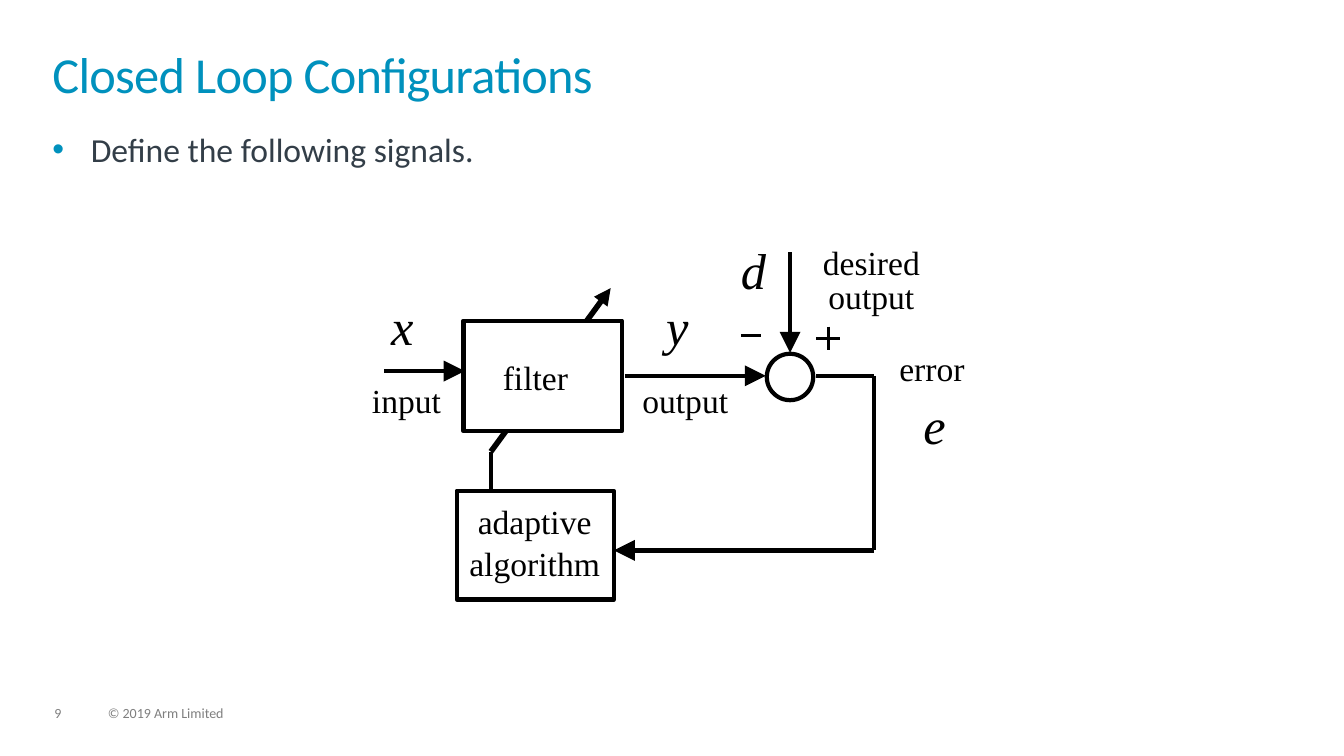
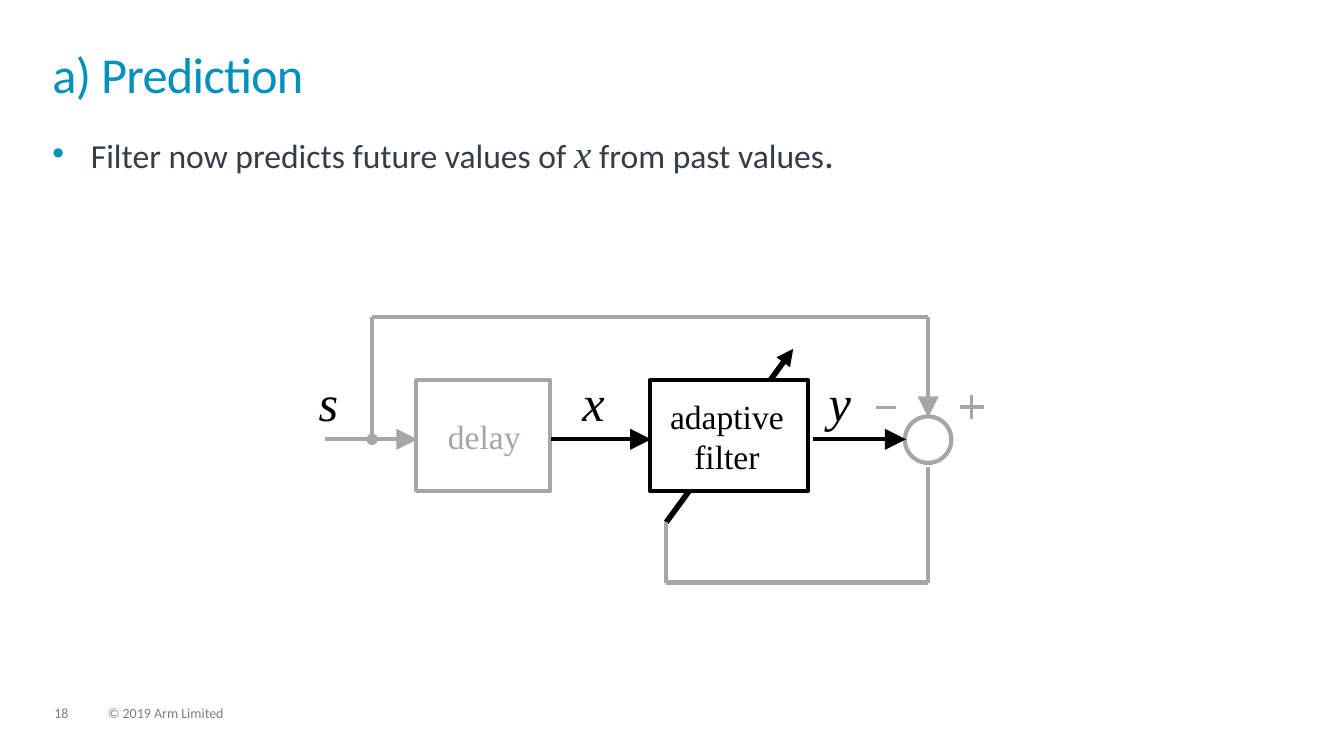
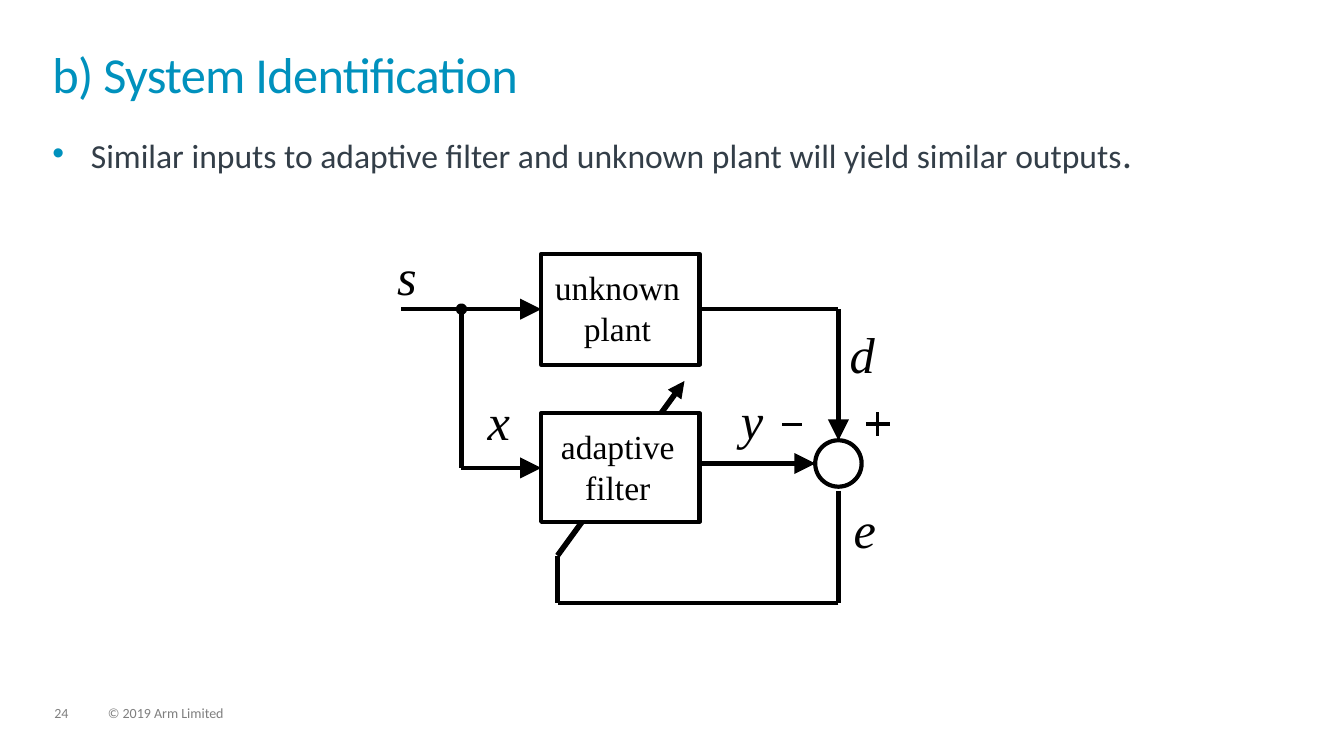
from dataclasses import dataclass
from itertools import pairwise

from lxml import etree
from pptx import Presentation
from pptx.dml.color import RGBColor
from pptx.enum.shapes import MSO_CONNECTOR, MSO_SHAPE
from pptx.enum.text import MSO_ANCHOR, MSO_AUTO_SIZE, PP_ALIGN
from pptx.oxml.ns import qn
from pptx.util import Cm, Pt

STRAIGHT = MSO_CONNECTOR.STRAIGHT
RECTANGLE, ELLIPSE = MSO_SHAPE.RECTANGLE, MSO_SHAPE.OVAL
TOP, NO_RESIZE = MSO_ANCHOR.TOP, MSO_AUTO_SIZE.NONE
LEFT, CENTER = PP_ALIGN.LEFT, PP_ALIGN.CENTER
TITLE_ONLY = 5


@dataclass(frozen=True)
class Theme:
    """Fonts, colours, type sizes and line weights used on every slide."""

    sans: str = "Calibri"
    serif: str = "Times New Roman"
    accent: str = "0091BD"
    ink: str = "333E48"
    footer: str = "7F7F7F"
    black: str = "000000"
    grey: str = "A6A6A6"
    white: str = "FFFFFF"
    title_size: int = 36
    body_size: int = 24
    large_size: int = 28
    symbol_size: int = 36
    footer_size: int = 10
    thin: int = 2
    line: int = 3
    thick: int = 4


THEME = Theme()
FOOTER = "© 2019 Arm Limited"
SYMBOL_HEIGHT, WORD_HEIGHT = 1.55, 1.03
NODE_SIZE, DOT_SIZE, SIGN_ARM = 1.17, 0.18, 0.3


def assign(target, values):
    """Set every attribute named in a dict."""
    for name, value in values.items():
        setattr(target, name, value)


def place(shape, area):
    """Move and size a shape from left, top, width and height in centimetres."""
    assign(shape, dict(zip(("left", "top", "width", "height"), map(Cm, area))))


def set_frame(shape, wrap=True):
    """Remove the margins of a text frame and return the frame."""
    frame = shape.text_frame
    assign(frame, {
        "margin_left": 0, "margin_top": 0, "margin_right": 0, "margin_bottom": 0,
        "word_wrap": wrap, "auto_size": NO_RESIZE, "vertical_anchor": TOP,
    })
    return frame


def add_span(para, text, size, colour, name=THEME.sans, italic=False):
    """Append a formatted run to a paragraph."""
    span = para.add_run()
    span.text = text
    assign(span.font, {"name": name, "size": Pt(size), "italic": italic, "bold": False})
    span.font.color.rgb = RGBColor.from_string(colour)
    return span


def add_text_box(page, area, wrap=True):
    """Add an empty text box and return its frame."""
    return set_frame(page.shapes.add_textbox(*map(Cm, area)), wrap)


def add_title(page, text):
    """Fill and format the title placeholder."""
    title = page.shapes.title
    place(title, (1.32, 1.32, 31.19, 1.83))
    para = set_frame(title).paragraphs[0]
    assign(para, {"alignment": LEFT, "line_spacing": 0.85})
    span = add_span(para, text, THEME.title_size, THEME.accent)
    span.font._element.set("spc", "-50")


def add_bullet(page, spans):
    """Add the bulleted statement made of text and format pairs."""
    para = add_text_box(page, (1.32, 3.25, 31.19, 13.74)).paragraphs[0]
    properties = para._p.get_or_add_pPr()
    properties.set("marL", str(Cm(0.97)))
    properties.set("indent", str(-Cm(0.97)))
    colour = etree.SubElement(properties, qn("a:buClr"))
    etree.SubElement(colour, qn("a:srgbClr"), val=THEME.accent)
    etree.SubElement(properties, qn("a:buFont"), typeface="Arial")
    etree.SubElement(properties, qn("a:buChar"), char="•")
    for text, values in spans:
        add_span(para, text, **{"size": THEME.body_size, "colour": THEME.ink, **values})


def add_footer(page, number):
    """Add the slide number and the copyright line."""
    for text, left, width in ((number, 1.37, 0.86), (FOOTER, 2.72, 12.88)):
        para = add_text_box(page, (left, 17.81, width, 0.38)).paragraphs[0]
        para.line_spacing = 0.9
        add_span(para, text, THEME.footer_size, THEME.footer)


def add_page(deck, number, title, spans):
    """Add a slide with its title, statement and footer."""
    page = deck.slides.add_slide(deck.slide_layouts[TITLE_ONLY])
    add_title(page, title)
    add_bullet(page, spans)
    add_footer(page, str(number))
    return page


def add_outline(page, kind, area, colour=THEME.black, fill=THEME.white):
    """Add a filled preset shape with a line of the given colour."""
    shape = page.shapes.add_shape(kind, *map(Cm, area))
    shape.shadow.inherit = False
    shape.fill.solid()
    shape.fill.fore_color.rgb = RGBColor.from_string(fill)
    shape.line.color.rgb = RGBColor.from_string(colour)
    shape.line.width = Pt(THEME.line)


def add_block(page, area, colour=THEME.black):
    """Add a rectangular processing block."""
    add_outline(page, RECTANGLE, area, colour)


def add_disc(page, x, y, size, colour, fill):
    """Add a circle around a centre point."""
    add_outline(page, ELLIPSE, (x - size / 2, y - size / 2, size, size), colour, fill)


def add_node(page, x, y, colour=THEME.black):
    """Add a summing node."""
    add_disc(page, x, y, NODE_SIZE, colour, THEME.white)


def add_dot(page, x, y, colour=THEME.black):
    """Add a branching dot."""
    add_disc(page, x, y, DOT_SIZE, colour, colour)


def add_wire(page, points, colour=THEME.black, weight=THEME.line, head=None):
    """Join points with straight lines, with an optional arrowhead size at the end."""
    for start, end in pairwise(points):
        wire = page.shapes.add_connector(STRAIGHT, *map(Cm, (*start, *end)))
        wire.line.color.rgb = RGBColor.from_string(colour)
        wire.line.width = Pt(weight)
        etree.SubElement(wire._element.spPr, qn("a:effectLst"))
    if head:
        line = wire.line._get_or_add_ln()
        etree.SubElement(line, qn("a:tailEnd"), type="triangle", w=head, len=head)


def add_arrow(page, *points, colour=THEME.black):
    """Add a signal path that ends in an arrowhead."""
    add_wire(page, points, colour, head="lg")


def add_tuning_arrow(page, start, end):
    """Add the diagonal arrow that marks an adjustable block."""
    add_wire(page, (start, end), weight=THEME.thick, head="med")


def add_minus(page, x, y, colour=THEME.black):
    """Add a minus sign around a centre point."""
    add_wire(page, ((x - 0.25, y), (x + 0.25, y)), colour, THEME.thin)


def add_plus(page, x, y, colour=THEME.black, weight=THEME.line):
    """Add a plus sign around a centre point."""
    add_wire(page, ((x - SIGN_ARM, y), (x + SIGN_ARM, y)), colour, weight)
    add_wire(page, ((x, y - SIGN_ARM), (x, y + SIGN_ARM)), colour, THEME.thin)


def add_words(page, rows, left, top, width, colour=THEME.black, pitch=None):
    """Add a centred label, one paragraph a row, with an optional line pitch."""
    frame = add_text_box(page, (left, top, width, WORD_HEIGHT * len(rows)), False)
    for index, row in enumerate(rows):
        para = frame.add_paragraph() if index else frame.paragraphs[0]
        para.alignment = CENTER
        if pitch:
            para.line_spacing = Pt(pitch)
        add_span(para, row, THEME.body_size, colour, THEME.serif)


def add_symbols(page, symbols):
    """Add italic signal names from name, left and top."""
    for name, left, top in symbols:
        width = {"d": 0.64, "s": 0.51}.get(name, 0.56)
        frame = add_text_box(page, (left, top, width, SYMBOL_HEIGHT), False)
        add_span(frame.paragraphs[0], name, THEME.symbol_size, THEME.black, THEME.serif, True)


def build_closed_loop(deck):
    """Build the slide on the closed loop and its signals."""
    page = add_page(deck, 9, "Closed Loop Configurations", [("Define the following signals.", {})])
    add_tuning_arrow(page, (12.37, 11.38), (15.39, 7.26))
    add_block(page, (11.51, 12.37, 3.96, 2.74))
    add_block(page, (11.68, 8.08, 3.99, 2.79))
    add_words(page, ["filter"], 12.67, 8.99, 1.65)
    add_words(page, ["error"], 22.66, 8.76, 1.65)
    add_words(page, ["desired", "output"], 20.73, 6.25, 2.46, pitch=24.5)
    add_words(page, ["output"], 16.18, 9.58, 2.18)
    add_words(page, ["adaptive", "algorithm"], 11.81, 12.57, 3.33, pitch=30)
    add_words(page, ["input"], 9.37, 9.58, 1.75)
    add_symbols(page, [("x", 9.86, 7.44), ("y", 16.79, 7.44), ("d", 18.67, 6.02), ("e", 23.27, 9.93)])
    add_node(page, 19.91, 9.5)
    add_arrow(page, (9.68, 9.35), (11.71, 9.35))
    add_arrow(page, (15.75, 9.47), (19.3, 9.47))
    add_arrow(page, (19.91, 6.35), (19.91, 8.89))
    add_arrow(page, (20.57, 9.47), (22.02, 9.47), (22.02, 13.87), (15.47, 13.87))
    add_wire(page, ((12.37, 11.38), (12.37, 12.34)))
    add_minus(page, 18.92, 8.46)
    add_plus(page, 20.87, 8.53, weight=THEME.thin)


def build_prediction(deck):
    """Build the slide on prediction."""
    grey = THEME.grey
    page = add_page(deck, 18, "a) Prediction", [
        ("Filter now predicts future values of ", {}),
        ("x", {"size": THEME.large_size, "name": THEME.serif, "italic": True}),
        (" from past values", {}),
        (".", {"size": THEME.large_size}),
    ])
    add_tuning_arrow(page, (16.79, 13.16), (19.99, 8.79))
    add_block(page, (16.38, 9.58, 3.99, 2.79))
    add_block(page, (10.49, 9.58, 3.38, 2.79), grey)
    add_words(page, ["adaptive", "filter"], 16.87, 9.98, 2.9)
    add_words(page, ["delay"], 11.28, 10.49, 1.85, grey)
    add_symbols(page, [("x", 14.68, 9.35), ("y", 20.88, 9.35), ("s", 8.03, 9.35)])
    add_node(page, 23.39, 11.08, grey)
    add_arrow(page, (13.89, 11.07), (16.41, 11.07))
    add_arrow(page, (20.5, 11.07), (22.83, 11.07))
    add_arrow(page, (8.18, 11.07), (10.52, 11.07), colour=grey)
    add_arrow(page, (9.38, 11.07), (9.38, 7.99), (23.39, 7.99), (23.39, 10.52), colour=grey)
    add_wire(page, ((23.39, 11.76), (23.39, 14.68), (16.79, 14.68), (16.79, 13.16)), grey)
    add_dot(page, 9.38, 11.07, grey)
    add_minus(page, 22.33, 10.26, grey)
    add_plus(page, 24.49, 10.26, grey)


def build_identification(deck):
    """Build the slide on system identification."""
    page = add_page(deck, 24, "b) System Identification", [
        ("Similar inputs to adaptive filter and unknown plant will yield similar outputs", {}),
        (".", {"size": THEME.large_size}),
    ])
    add_tuning_arrow(page, (14.05, 14), (17.25, 9.6))
    add_block(page, (13.64, 10.41, 3.99, 2.74))
    add_block(page, (13.64, 6.4, 3.99, 2.79))
    add_words(page, ["adaptive", "filter"], 14.12, 10.71, 2.9, pitch=29.3)
    add_words(page, ["unknown", "plant"], 13.97, 6.7, 3.18, pitch=29.3)
    add_symbols(page, [
        ("x", 12.29, 9.83), ("y", 18.67, 9.8), ("d", 21.41, 8.15),
        ("e", 21.51, 12.55), ("s", 10.01, 6.17),
    ])
    add_node(page, 21.13, 11.68)
    add_arrow(page, (10.11, 7.79), (13.64, 7.79))
    add_arrow(page, (11.63, 7.79), (11.63, 11.79), (13.64, 11.79))
    add_arrow(page, (17.7, 11.68), (20.55, 11.68))
    add_arrow(page, (17.63, 7.79), (21.13, 7.79), (21.13, 11.1))
    add_wire(page, ((21.13, 12.37), (21.13, 15.19), (14.05, 15.19), (14.05, 14)))
    add_dot(page, 11.63, 7.79)
    add_minus(page, 19.96, 10.69)
    add_plus(page, 22.12, 10.69)


def main():
    """Build and save the presentation."""
    deck = Presentation()
    assign(deck, {"slide_width": Cm(33.87), "slide_height": Cm(19.05)})
    for build in (build_closed_loop, build_prediction, build_identification):
        build(deck)
    deck.save("out.pptx")


if __name__ == "__main__":
    main()
